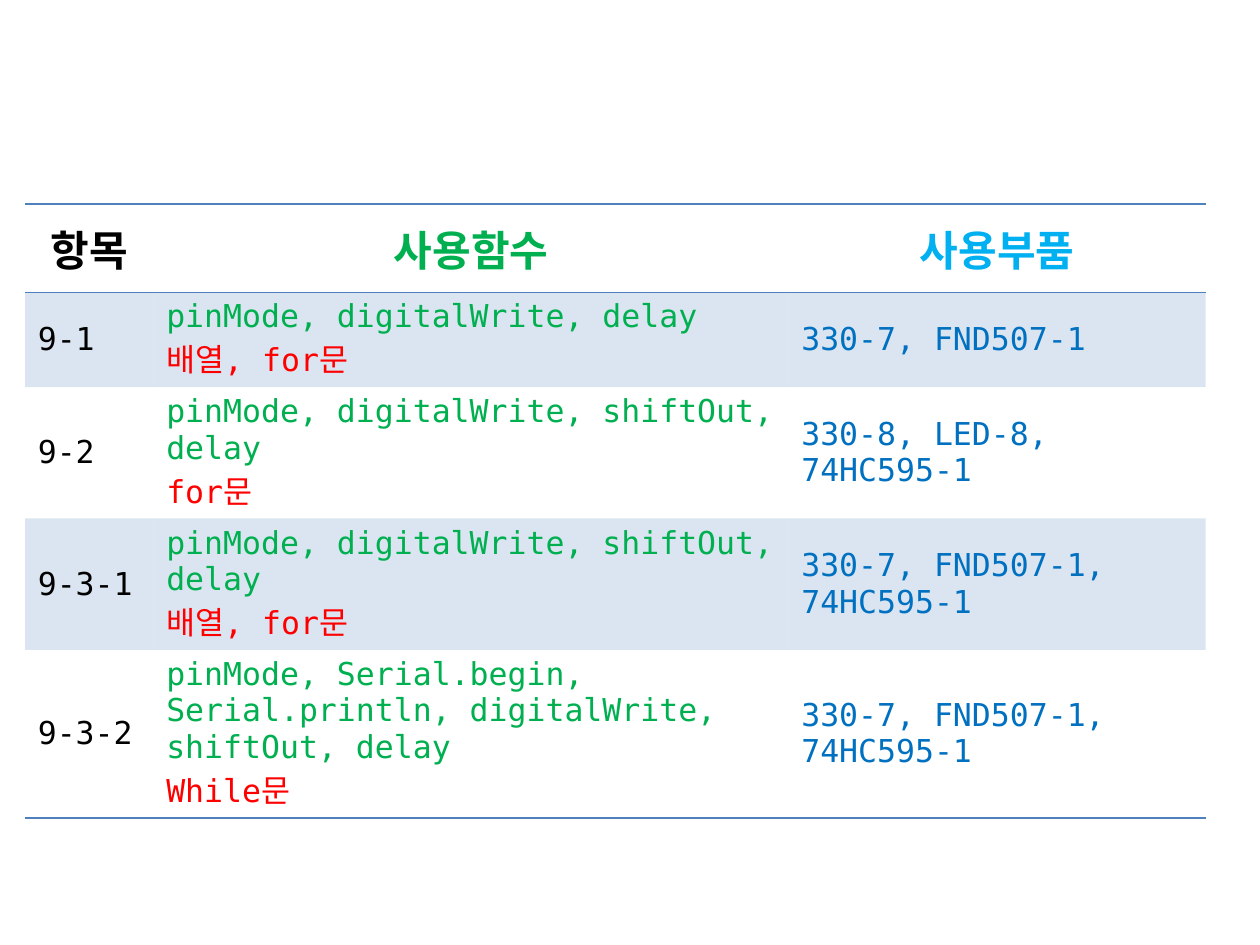
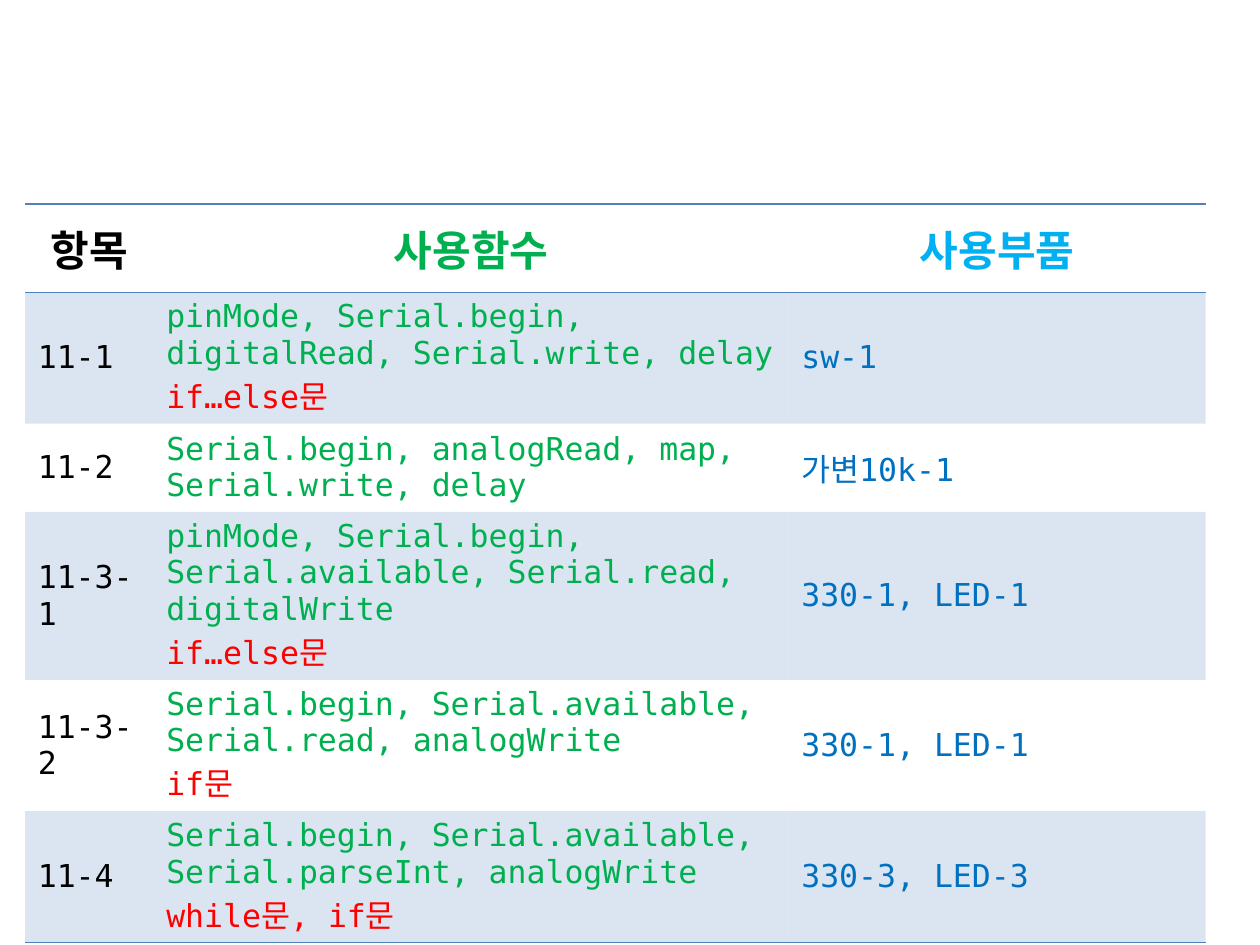
from dataclasses import dataclass

from lxml import etree
from pptx import Presentation
from pptx.dml.color import RGBColor
from pptx.enum.text import MSO_ANCHOR, PP_ALIGN
from pptx.oxml.ns import qn
from pptx.util import Emu, Pt

EMU_PER_PX = 9144
MIDDLE = MSO_ANCHOR.MIDDLE
CENTER = PP_ALIGN.CENTER
LEFT = PP_ALIGN.LEFT
PLAIN_TABLE_STYLE = "{2D5ABB26-0587-4C30-8999-92F81FD0307C}"


@dataclass(frozen=True)
class Theme:
    accent: str = "4F81BD"
    band_alpha: int = 20
    label_color: str = "000000"
    function_color: str = "00B050"
    statement_color: str = "FF0000"
    component_heading_color: str = "00B0F0"
    component_color: str = "0070C0"
    code_font: str = "DejaVu Sans Mono"
    korean_font: str = "Noto Sans CJK KR"
    heading_size: int = 24
    body_size: int = 18
    rule_width: int = 1


@dataclass(frozen=True)
class Line:
    text: str
    color: str


@dataclass(frozen=True)
class Exercise:
    label: str
    functions: tuple[str, ...]
    statements: str
    components: tuple[str, ...]


THEME = Theme()
PAGE_WIDTH, PAGE_HEIGHT = 1000, 750
TABLE_LEFT, TABLE_TOP = 20, 162
COLUMN_WIDTHS = (102, 504, 331)
ROW_HEIGHT = 70
HEADINGS = (
    Line("항목", THEME.label_color),
    Line("사용함수", THEME.function_color),
    Line("사용부품", THEME.component_heading_color),
)
CHAPTERS = (
    (
        Exercise("9-1", ("pinMode, digitalWrite, delay",), "배열, for문",
                 ("330-7, FND507-1",)),
        Exercise("9-2", ("pinMode, digitalWrite, shiftOut, delay",), "for문",
                 ("330-8, LED-8,", "74HC595-1")),
        Exercise("9-3-1", ("pinMode, digitalWrite, shiftOut,", "delay"), "배열, for문",
                 ("330-7, FND507-1, 74HC595-1",)),
        Exercise("9-3-2",
                 ("pinMode, Serial.begin, Serial.println, digitalWrite, shiftOut, delay",),
                 "While문", ("330-7, FND507-1, 74HC595-1",)),
    ),
    (
        Exercise("11-1", ("pinMode, Serial.begin, digitalRead, Serial.write, delay",),
                 "if…else문", ("sw-1",)),
        Exercise("11-2", ("Serial.begin, analogRead, map, Serial.write, delay",),
                 "", ("가변10k-1",)),
        Exercise("11-3-1",
                 ("pinMode, Serial.begin, Serial.available, Serial.read, digitalWrite",),
                 "if…else문", ("330-1, LED-1",)),
        Exercise("11-3-2", ("Serial.begin, Serial.available, Serial.read, analogWrite",),
                 "if문", ("330-1, LED-1",)),
        Exercise("11-4", ("Serial.begin, Serial.available, Serial.parseInt, analogWrite",),
                 "while문, if문", ("330-3, LED-3",)),
    ),
)


def px(length: int) -> Emu:
    return Emu(length * EMU_PER_PX)


def write_cell(cell, lines: list[Line], heading: bool) -> None:
    cell.vertical_anchor = MIDDLE
    cell.text_frame.text = "\n".join(line.text for line in lines)
    for para, line in zip(cell.text_frame.paragraphs, lines):
        para.alignment = CENTER if heading else LEFT
        for span in para.runs:
            font = span.font
            font.name = THEME.korean_font if heading else THEME.code_font
            font.size = Pt(THEME.heading_size if heading else THEME.body_size)
            font.bold = heading
            font.color.rgb = RGBColor.from_string(line.color)
            east_asian = etree.SubElement(font._element, qn("a:ea"))
            east_asian.set("typeface", THEME.korean_font)


def fill_cell(cell, banded: bool) -> None:
    if not banded:
        cell.fill.background()
        return
    cell.fill.solid()
    cell.fill.fore_color.rgb = RGBColor.from_string(THEME.accent)
    color = cell._tc.tcPr.find(".//" + qn("a:srgbClr"))
    etree.SubElement(color, qn("a:alpha")).set("val", str(THEME.band_alpha * 1000))


def rule_cell(cell, edges: list[str]) -> None:
    for position, edge in enumerate(edges):
        border = etree.Element(qn(edge), w=str(Pt(THEME.rule_width)))
        fill = etree.SubElement(border, qn("a:solidFill"))
        etree.SubElement(fill, qn("a:srgbClr")).set("val", THEME.accent)
        cell._tc.tcPr.insert(position, border)


def exercise_cells(exercise: Exercise) -> list[list[Line]]:
    functions = [Line(text, THEME.function_color) for text in exercise.functions]
    if exercise.statements:
        functions.append(Line(exercise.statements, THEME.statement_color))
    components = [Line(text, THEME.component_color) for text in exercise.components]
    return [[Line(exercise.label, THEME.label_color)], functions, components]


def add_exercise_table(page, exercises: tuple[Exercise, ...]) -> None:
    rows = [[[heading] for heading in HEADINGS]]
    rows += [exercise_cells(exercise) for exercise in exercises]
    frame = page.shapes.add_table(
        len(rows), len(COLUMN_WIDTHS), px(TABLE_LEFT), px(TABLE_TOP),
        px(sum(COLUMN_WIDTHS)), px(ROW_HEIGHT * len(rows)))
    table = frame.table
    table._tbl.tblPr.find(qn("a:tableStyleId")).text = PLAIN_TABLE_STYLE
    for column, width in zip(table.columns, COLUMN_WIDTHS):
        column.width = px(width)
    for row_index, row in enumerate(rows):
        heading = row_index == 0
        edges = ["a:lnT"] if heading else []
        if heading or row_index == len(rows) - 1:
            edges.append("a:lnB")
        for column_index, lines in enumerate(row):
            cell = table.cell(row_index, column_index)
            write_cell(cell, lines, heading)
            fill_cell(cell, row_index % 2 == 1)
            rule_cell(cell, edges)


def main() -> None:
    deck = Presentation()
    deck.slide_width, deck.slide_height = px(PAGE_WIDTH), px(PAGE_HEIGHT)
    blank = deck.slide_layouts[6]
    for exercises in CHAPTERS:
        add_exercise_table(deck.slides.add_slide(blank), exercises)
    deck.save("out.pptx")


if __name__ == "__main__":
    main()
